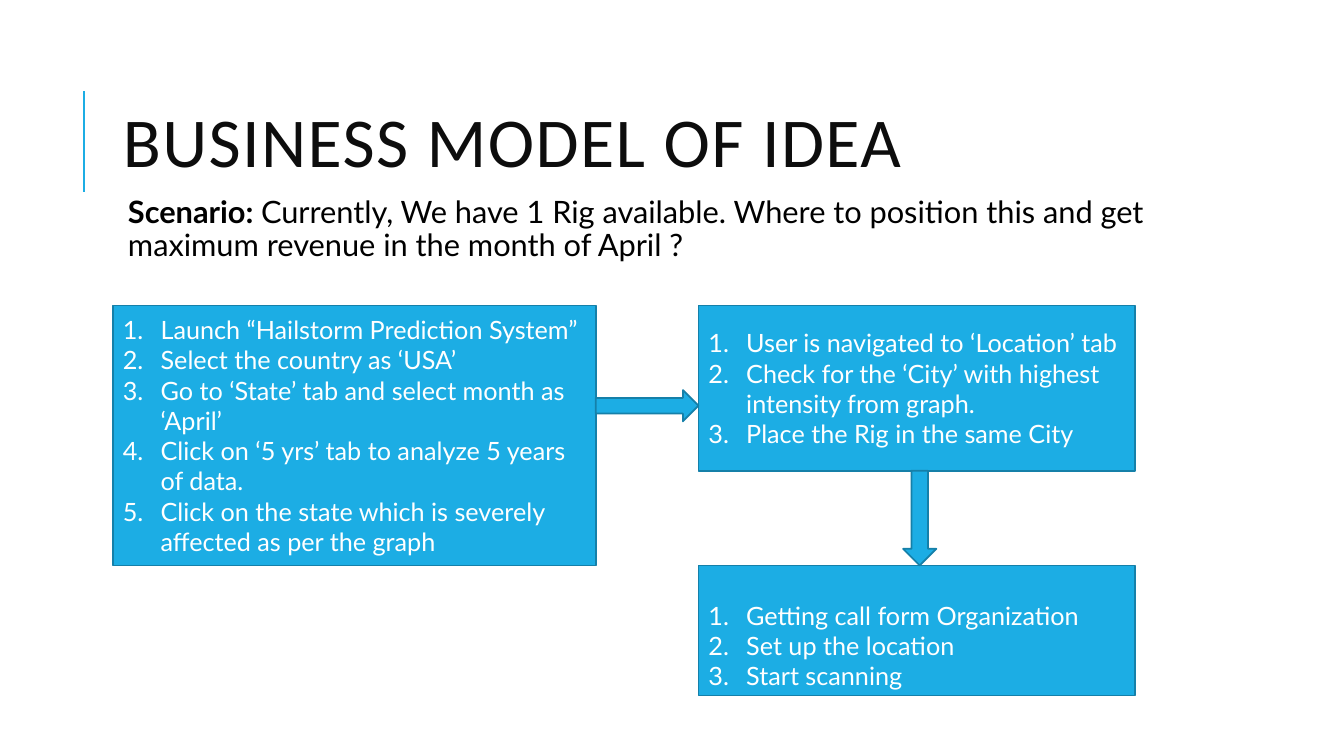
"""Build the business model slide: a scenario and three linked step boxes."""
from dataclasses import dataclass

from lxml.etree import SubElement as Sub
from pptx import Presentation
from pptx.dml.color import RGBColor as Rgb
from pptx.enum.shapes import MSO_CONNECTOR as Link, MSO_SHAPE as Form
from pptx.enum.text import MSO_ANCHOR as Anchor, MSO_AUTO_SIZE as Fit, PP_ALIGN as Align
from pptx.oxml.ns import qn
from pptx.util import Pt


@dataclass(frozen=True)
class Theme:
    fill: Rgb = Rgb(0x1C, 0xAD, 0xE4)
    edge: Rgb = Rgb(0x15, 0x80, 0xA9)
    dark: Rgb = Rgb(0x0D, 0x0D, 0x0D)
    black: Rgb = Rgb(0, 0, 0)
    white: Rgb = Rgb(255, 255, 255)
    head: str = "Calibri"
    body: str = "Lato"
    big: float = 50
    mid: float = 22
    small: float = 18
    rule: float = 1.5
    line: float = 1.25


def apply(item, **vals):
    for key, val in vals.items():
        setattr(item, key, val)


class Deck:
    def __init__(self, theme):
        self.theme = theme
        self.prs = Presentation()
        apply(self.prs, slide_width=Pt(960), slide_height=Pt(540))
        self.slide = self.prs.slides.add_slide(self.prs.slide_layouts[5])
        self.shapes = self.slide.shapes

    def add_text(self, para, text, face, size, color, bold=False):
        run = para.add_run()
        run.text = text
        apply(run.font, name=face, size=Pt(size), bold=bold)
        run.font.color.rgb = color
        return run

    def title(self, text, x, y, w, h):
        t = self.theme
        shape = self.shapes.title
        apply(shape, left=Pt(x), top=Pt(y), width=Pt(w), height=Pt(h))
        frame = shape.text_frame
        apply(frame, word_wrap=True, auto_size=Fit.NONE, vertical_anchor=Anchor.MIDDLE)
        para = frame.paragraphs[0]
        apply(para, alignment=Align.LEFT, line_spacing=0.8)
        run = self.add_text(para, text, t.head, t.big, t.dark)
        run.font._element.set("spc", "100")

    def note(self, parts, x, y, w, h):
        t = self.theme
        frame = self.shapes.add_textbox(Pt(x), Pt(y), Pt(w), Pt(h)).text_frame
        apply(frame, word_wrap=True, margin_left=Pt(10.8), margin_right=Pt(3.6),
              margin_top=Pt(3.6), margin_bottom=Pt(3.6))
        para = frame.paragraphs[0]
        apply(para, line_spacing=0.9, space_after=Pt(2))
        for text, bold in parts:
            self.add_text(para, text, t.body, t.mid, t.black, bold)

    def rule(self, x, top, end):
        line = self.shapes.add_connector(Link.STRAIGHT, Pt(x), Pt(end), Pt(x), Pt(top))
        line.line.color.rgb = self.theme.fill
        line.line.width = Pt(self.theme.rule)
        Sub(line._element.spPr, qn("a:effectLst"))

    def block(self, form, x, y, w, h):
        t = self.theme
        shape = self.shapes.add_shape(form, Pt(x), Pt(y), Pt(w), Pt(h))
        shape.shadow.inherit = False
        shape.fill.solid()
        shape.fill.fore_color.rgb = t.fill
        shape.line.color.rgb = t.edge
        shape.line.width = Pt(t.line)
        return shape

    def steps(self, items, x, y, w, h, pad=3.6):
        t = self.theme
        frame = self.block(Form.RECTANGLE, x, y, w, h).text_frame
        apply(frame, word_wrap=True, vertical_anchor=Anchor.MIDDLE, margin_top=Pt(pad))
        for i, text in enumerate(items):
            para = frame.add_paragraph() if i else frame.paragraphs[0]
            para.alignment = Align.LEFT
            props = para._p.get_or_add_pPr()
            props.set("marL", str(Pt(27)))
            props.set("indent", str(Pt(-27)))
            Sub(props, qn("a:buFont"), typeface="+mj-lt")
            Sub(props, qn("a:buAutoNum"), type="arabicPeriod")
            self.add_text(para, text, t.body, t.small, t.white)

    def save(self):
        self.prs.save("out.pptx")


def main():
    deck = Deck(Theme())
    left, wide = 80.64, 344.88
    right, slim = 498.96, 311.76
    top, low = 218.16, 403.92
    tall, mid = low - top, 118.08
    deck.rule(60, 64.8, 136.8)
    deck.title("BUSINESS MODEL OF IDEA", left, 46.08, 765.36, 118.08)
    deck.note([
        ("Scenario: ", True),
        ("Currently, We have 1 Rig available. Where to position this and get "
         "maximum revenue in the month of April ?", False),
    ], left, 136.8, 765.36, 360)
    deck.steps([
        "Launch “Hailstorm Prediction System”",
        "Select the country as ‘USA’",
        "Go to ‘State’ tab and select month as ‘April’",
        "Click on ‘5 yrs’ tab to analyze 5 years of data.",
        "Click on the state which is severely affected as per the graph",
    ], left, top, wide, tall)
    deck.steps([
        "User is navigated to ‘Location’ tab",
        "Check for the ‘City’ with highest intensity from graph.",
        "Place the Rig in the same City",
    ], right, top, slim, mid)
    deck.steps([
        "Getting call form Organization",
        "Set up the location",
        "Start scanning",
    ], right, low, slim, 92.88, pad=25.2)
    edge, base = left + wide, top + mid
    deck.block(Form.RIGHT_ARROW, edge, 278.64, right - edge, 22.32)
    deck.block(Form.DOWN_ARROW, 645.12, base, 23.76, low - base)
    deck.save()


if __name__ == "__main__":
    main()
